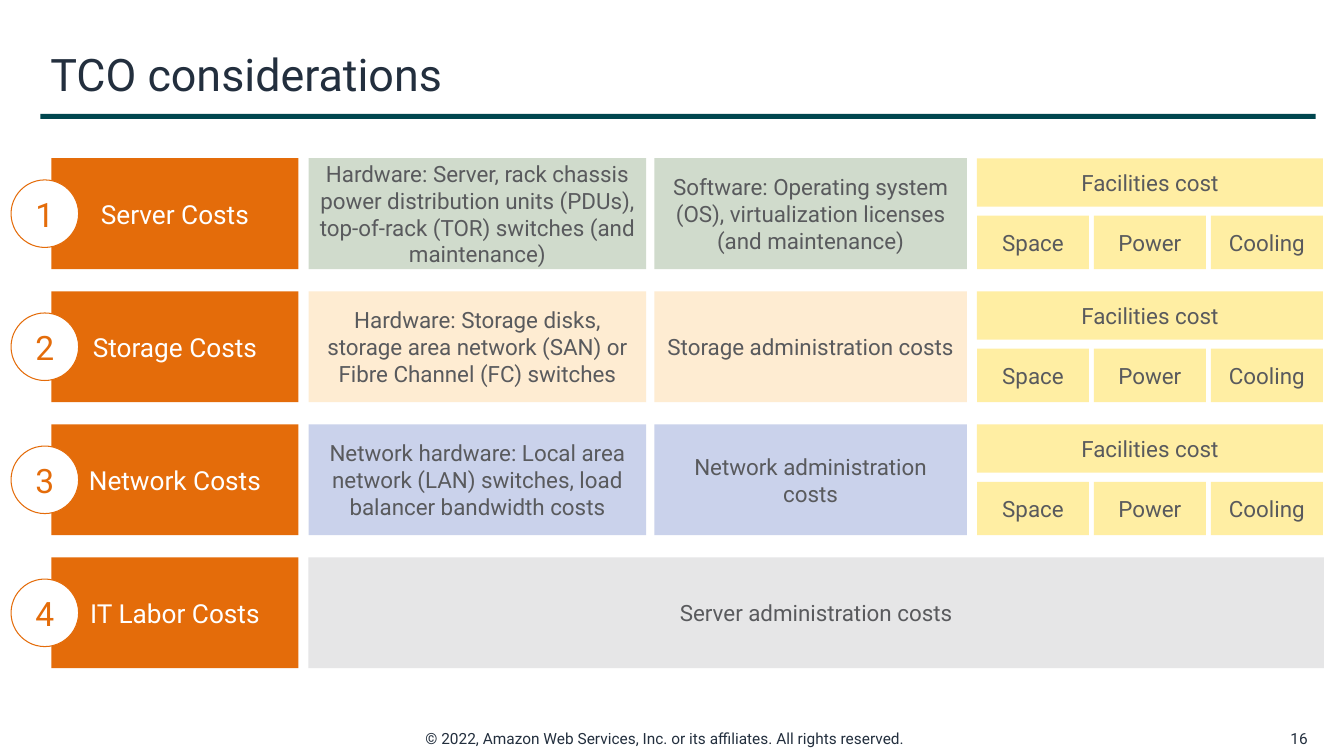
"""Build the TCO considerations slide: four cost categories and their components."""
from dataclasses import dataclass

from pptx import Presentation
from pptx.dml.color import RGBColor
from pptx.enum.shapes import MSO_SHAPE
from pptx.enum.text import MSO_ANCHOR, PP_ALIGN
from pptx.util import Inches, Pt

RECTANGLE, OVAL = MSO_SHAPE.RECTANGLE, MSO_SHAPE.OVAL
TOP, MIDDLE = MSO_ANCHOR.TOP, MSO_ANCHOR.MIDDLE
LEFT, CENTER, RIGHT = PP_ALIGN.LEFT, PP_ALIGN.CENTER, PP_ALIGN.RIGHT

FONT = "Roboto"
NAVY, TEAL, ORANGE, WHITE = "232F3E", "00464F", "E46C0A", "FFFFFF"
GRAY, LIGHT_GRAY, YELLOW = "595A5D", "E6E6E7", "FFEEA3"

FIRST_ROW_TOP, ROW_PITCH, ROW_HEIGHT = 1.57, 1.32, 1.1
CATEGORY_LEFT, CATEGORY_WIDTH = 0.51, 2.45
BADGE_LEFT, BADGE_SIZE = 0.11, 0.67
COMPONENT_COLUMNS = ((3.06, 3.35), (6.49, 3.1))
FACILITIES_LEFT, FACILITIES_WIDTH, FACILITIES_HEIGHT = 9.69, 3.43, 0.48
FACILITY_PITCH, FACILITY_WIDTH, FACILITY_HEIGHT = 1.16, 1.11, 0.53
FACILITIES = ("Space", "Power", "Cooling")
LABOR_WIDTH = 10.07


@dataclass(frozen=True)
class Box:
    left: float
    top: float
    width: float
    height: float


@dataclass(frozen=True)
class CostRow:
    category: str
    components: tuple[str, ...]
    fill: str


COST_ROWS = (
    CostRow("Server Costs", (
        "Hardware: Server, rack chassis power distribution units (PDUs), "
        "top-of-rack (TOR) switches (and maintenance)",
        "Software: Operating system (OS), virtualization licenses\n(and maintenance)",
    ), "D0DBCC"),
    CostRow("Storage Costs", (
        "Hardware: Storage disks, storage area network (SAN) or Fibre Channel (FC) switches",
        "Storage administration costs",
    ), "FEECD2"),
    CostRow("Network Costs", (
        "Network hardware: Local area network (LAN) switches, load balancer bandwidth costs",
        "Network administration costs",
    ), "CAD2EB"),
    CostRow("IT Labor Costs", ("Server administration costs",), LIGHT_GRAY),
)


def rgb(value: str) -> RGBColor:
    return RGBColor.from_string(value)


def write(frame, text: str, *, size: float = 16, color: str = GRAY,
          align=CENTER, anchor=MIDDLE, wrap: bool = True) -> None:
    frame.word_wrap = wrap
    frame.vertical_anchor = anchor
    frame.text = text
    for paragraph in frame.paragraphs:
        paragraph.alignment = align
        paragraph.font.name = FONT
        paragraph.font.size = Pt(size)
        paragraph.font.color.rgb = rgb(color)


def place(box: Box) -> tuple:
    return Inches(box.left), Inches(box.top), Inches(box.width), Inches(box.height)


def add_block(slide, box: Box, fill: str, text: str = "", *,
              kind=RECTANGLE, outline: str = "", **text_format) -> None:
    block = slide.shapes.add_shape(kind, *place(box))
    block.shadow.inherit = False
    block.fill.solid()
    block.fill.fore_color.rgb = rgb(fill)
    if outline:
        block.line.color.rgb = rgb(outline)
        block.line.width = Pt(0.75)
    else:
        block.line.fill.background()
    if text:
        write(block.text_frame, text, **text_format)


def add_label(slide, box: Box, text: str, **text_format) -> None:
    write(slide.shapes.add_textbox(*place(box)).text_frame, text, color=NAVY, **text_format)


def add_facilities(slide, top: float) -> None:
    add_block(slide, Box(FACILITIES_LEFT, top, FACILITIES_WIDTH, FACILITIES_HEIGHT),
              YELLOW, "Facilities cost")
    for column, facility in enumerate(FACILITIES):
        add_block(slide, Box(FACILITIES_LEFT + column * FACILITY_PITCH,
                             top + ROW_HEIGHT - FACILITY_HEIGHT,
                             FACILITY_WIDTH, FACILITY_HEIGHT), YELLOW, facility)


def add_cost_row(slide, number: int, row: CostRow) -> None:
    top = FIRST_ROW_TOP + (number - 1) * ROW_PITCH
    add_block(slide, Box(CATEGORY_LEFT, top, CATEGORY_WIDTH, ROW_HEIGHT),
              ORANGE, row.category, size=18.7, color=WHITE)
    add_block(slide, Box(BADGE_LEFT, top + (ROW_HEIGHT - BADGE_SIZE) / 2, BADGE_SIZE, BADGE_SIZE),
              WHITE, str(number), kind=OVAL, outline=ORANGE, size=24, color=ORANGE)
    spans_row = len(row.components) == 1
    for (left, width), component in zip(COMPONENT_COLUMNS, row.components):
        add_block(slide, Box(left, top, LABOR_WIDTH if spans_row else width, ROW_HEIGHT),
                  row.fill, component)
    if not spans_row:
        add_facilities(slide, top)


def main() -> None:
    deck = Presentation()
    deck.slide_width, deck.slide_height = Inches(13.33), Inches(7.5)
    slide = deck.slides.add_slide(deck.slide_layouts[6])
    add_label(slide, Box(0.4, 0.33, 12.65, 0.8), "TCO considerations", size=32, align=LEFT)
    add_block(slide, Box(0.4, 1.13, 12.65, 0.05), TEAL)
    for number, row in enumerate(COST_ROWS, start=1):
        add_cost_row(slide, number, row)
    add_label(slide, Box(4.12, 7.18, 5.09, 0.29),
              "© 2022, Amazon Web Services, Inc. or its affiliates. All rights reserved.",
              size=11, align=LEFT, anchor=TOP, wrap=False)
    add_label(slide, Box(12.54, 7.18, 0.53, 0.29), "16", size=11, align=RIGHT)
    deck.save("out.pptx")


if __name__ == "__main__":
    main()
